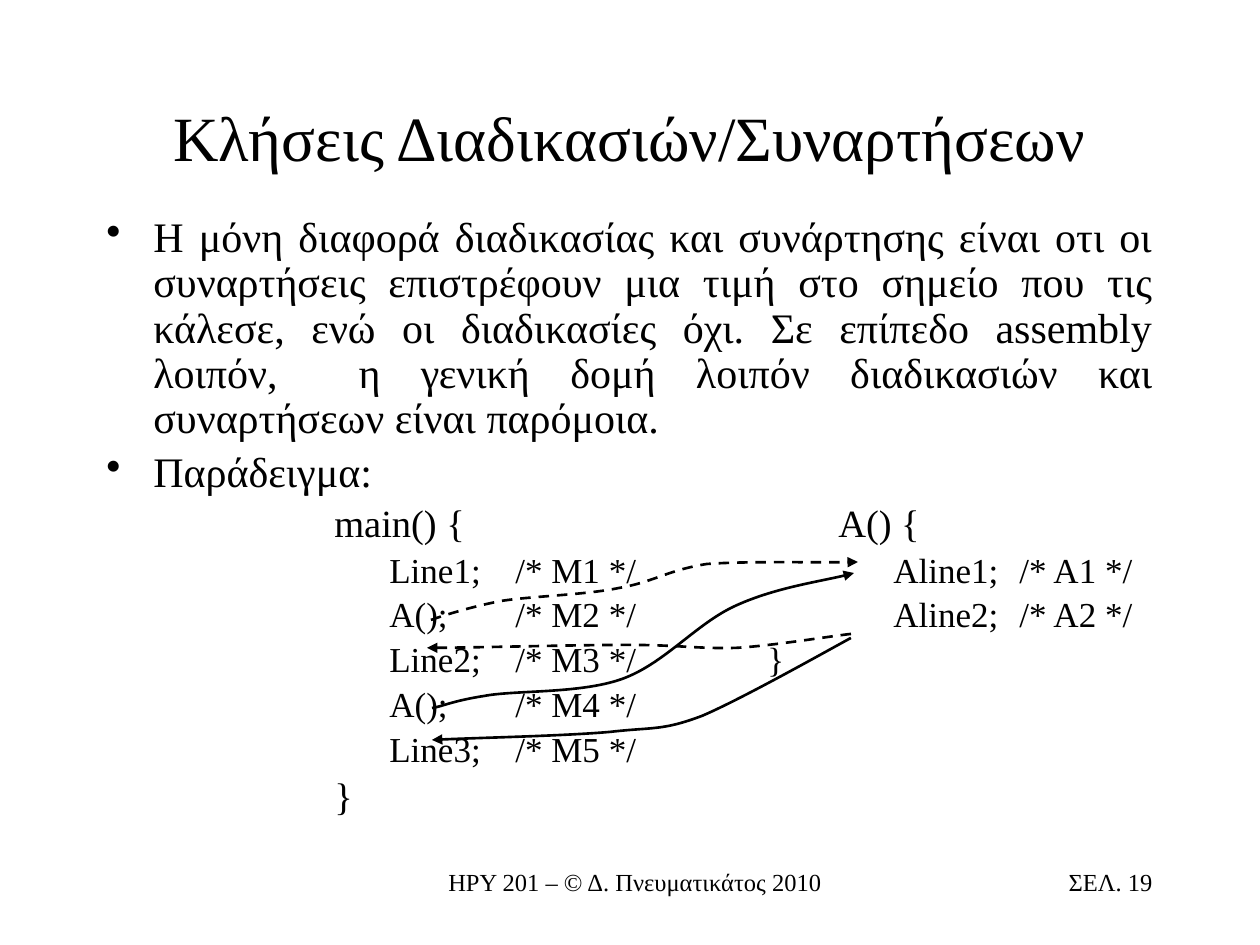
from pptx import Presentation
from pptx.dml.color import RGBColor
from pptx.enum.dml import MSO_LINE
from pptx.enum.text import MSO_ANCHOR, PP_ALIGN
from pptx.oxml.ns import qn
from pptx.util import Pt
from lxml.etree import SubElement

PX = 914400 // 126
INK = "000000"


def color(code):
    return RGBColor.from_string(code)


def add_text(box, rows, anchor=MSO_ANCHOR.TOP):
    frame = slide.shapes.add_textbox(*[n * PX for n in box]).text_frame
    frame.word_wrap = True
    frame.vertical_anchor = anchor
    for i, (text, size, align) in enumerate(rows):
        para = frame.paragraphs[0] if i == 0 else frame.add_paragraph()
        para.alignment = align
        run = para.add_run()
        run.text = text
        style = {"name": "Times New Roman", "size": Pt(size)}
        for key, val in style.items():
            setattr(run.font, key, val)
        run.font.color.rgb = color(INK)
    return frame


deck = Presentation()
deck.slide_width, deck.slide_height = 1260 * PX, 945 * PX
slide = deck.slides.add_slide(deck.slide_layouts[6])

# Footer and title
add_text((378, 861, 514, 63),
         [("ΗΡΥ 201 – © Δ. Πνευματικάτος 2010", 14, PP_ALIGN.CENTER)])
add_text((903, 861, 262, 63), [("ΣΕΛ. 19", 14, PP_ALIGN.RIGHT)])
add_text((94, 84, 1071, 105),
         [("Κλήσεις Διαδικασιών/Συναρτήσεων", 36, PP_ALIGN.CENTER)],
         MSO_ANCHOR.MIDDLE)

# Body: level, text
body = [
    (0, "Η μόνη διαφορά διαδικασίας και συνάρτησης είναι οτι οι συναρτήσεις "
        "επιστρέφουν μια τιμή στο σημείο που τις κάλεσε, ενώ οι διαδικασίες "
        "όχι. Σε επίπεδο assembly λοιπόν,  η γενική δομή λοιπόν διαδικασιών "
        "και συναρτήσεων είναι παρόμοια."),
    (0, "Παράδειγμα:"),
    (1, "\t\tmain() {\t\t\tA() {"),
    (2, "\t\tLine1;\t/* M1 */\t\t\tAline1;\t/* A1 */"),
    (2, "\t\tA();\t/* M2 */\t\t\tAline2;\t/* A2 */"),
    (2, "\t\tLine2;\t/* M3 */\t\t}"),
    (2, "\t\tA();\t/* M4 */"),
    (2, "\t\tLine3;\t/* M5 */"),
    (1, "\t\t}"),
]
sizes = [24, 22, 20]
dents = [(47, -47), (102, -39), (157, -31)]
rows = [(text, sizes[lev], PP_ALIGN.LEFT) for lev, text in body]
frame = add_text((94, 210, 1071, 630), rows)
frame.paragraphs[0].alignment = PP_ALIGN.JUSTIFY
for para, (lev, text) in zip(frame.paragraphs, body):
    look = {"level": lev, "line_spacing": 0.9,
            "space_before": Pt(sizes[lev] * 0.2)}
    for key, val in look.items():
        setattr(para, key, val)
    props = para._p.get_or_add_pPr()
    left, hang = dents[lev]
    for key, val in {"marL": left, "indent": hang, "defTabSz": 126}.items():
        props.set(key, str(val * PX))
    if lev == 0:
        SubElement(props, qn("a:buChar")).set("char", "•")
    else:
        SubElement(props, qn("a:buNone"))

# Call and return arrows: dashed or not, then start and Bezier points
curves = [
    (True, [(431, 620), (442, 616), (470, 607), (501, 601),
            (533, 596), (585, 595), (619, 588),
            (654, 582), (668, 570), (707, 564),
            (747, 561), (827, 563), (858, 562)]),
    (False, [(432, 708), (441, 707), (452, 701), (484, 696),
             (515, 690), (580, 694), (622, 679),
             (664, 664), (696, 624), (735, 606),
             (774, 588), (830, 580), (854, 573)]),
    (False, [(851, 638), (827, 651), (742, 699), (702, 716),
             (662, 731), (654, 727), (610, 732),
             (564, 736), (469, 738), (432, 740)]),
    (True, [(851, 634), (832, 636), (772, 646), (736, 648),
            (698, 649), (679, 645), (627, 645),
            (576, 645), (469, 648), (427, 648)]),
]
for dash, spots in curves:
    pen = slide.shapes.build_freeform(*spots[0], scale=PX)
    pen.add_line_segments(spots[1:], close=False)
    arc = pen.convert_to_shape()
    arc.shadow.inherit = False
    arc.fill.background()
    arc.line.color.rgb = color(INK)
    arc.line.width = Pt(1.5)
    if dash:
        arc.line.dash_style = MSO_LINE.DASH
    SubElement(arc.line._get_or_add_ln(), qn("a:tailEnd")).set("type", "triangle")
    # Join each three straight steps into one cubic curve
    steps = list(arc._element.iter(qn("a:lnTo")))
    track = steps[0].getparent()
    for i in range(0, len(steps), 3):
        bend = SubElement(track, qn("a:cubicBezTo"))
        for step in steps[i:i + 3]:
            bend.append(step[0])
            track.remove(step)

deck.save("out.pptx")
